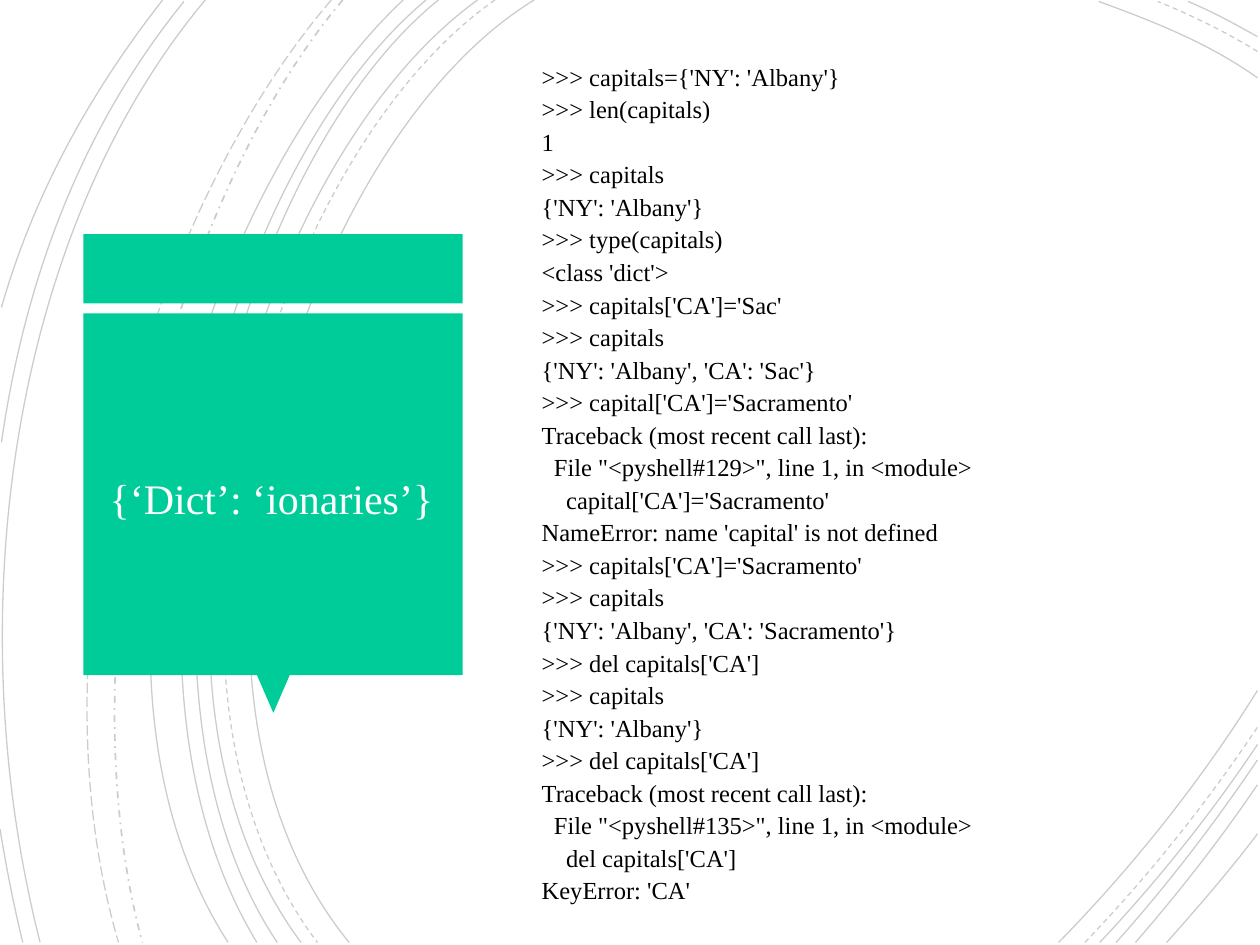
from dataclasses import dataclass

from lxml import etree
from pptx import Presentation
from pptx.dml.color import RGBColor
from pptx.enum.dml import MSO_LINE
from pptx.enum.shapes import MSO_SHAPE
from pptx.enum.text import MSO_ANCHOR, PP_ALIGN
from pptx.oxml.ns import qn
from pptx.util import Cm, Pt

RECTANGLE, TRIANGLE = MSO_SHAPE.RECTANGLE, MSO_SHAPE.ISOSCELES_TRIANGLE
SOLID, DASH = MSO_LINE.SOLID, MSO_LINE.DASH
LONG_DASH, DASH_DOT = MSO_LINE.LONG_DASH, MSO_LINE.DASH_DOT
LEFT, CENTER = PP_ALIGN.LEFT, PP_ALIGN.CENTER
MIDDLE = MSO_ANCHOR.MIDDLE
BLANK_LAYOUT = 6


@dataclass(frozen=True)
class Theme:
    font: str = "Times New Roman"
    ink: RGBColor = RGBColor(0x00, 0x00, 0x00)
    accent: RGBColor = RGBColor(0x00, 0xCC, 0x99)
    on_accent: RGBColor = RGBColor(0xFF, 0xFF, 0xFF)
    title_size: float = 24
    code_size: float = 14
    code_spacing: float = 0.9
    code_gap: float = 3.45
    space_width: float = 3.5
    arc_width: float = 0.75
    arc_opacity: int = 20


# Arcs in cm: start, two control points, end; then dash style
BOTTOM, RIGHT = 19, 25.35
LEFT_ARCS = [
    ((10.77, 0), (5.99, 2.92), (2.72, 13.72), (7.04, BOTTOM), SOLID),
    ((9.98, 0), (5.41, 3.18), (2.34, 13.64), (6.4, BOTTOM), DASH),
    ((9.63, 0), (5.13, 3.23), (2.08, 13.64), (6.07, BOTTOM), SOLID),
    ((8.84, 0), (4.65, 3.38), (2.08, 13.74), (5.59, BOTTOM), SOLID),
    ((8.59, 0), (4.39, 3.51), (1.85, 13.54), (5.18, BOTTOM), SOLID),
    ((8.13, 0), (4.14, 3.73), (1.02, 13.44), (4.6, BOTTOM), SOLID),
    ((6.91, 0), (3.35, 4.22), (1.24, 12.93), (2.87, BOTTOM), DASH_DOT),
    ((6.68, 0), (3, 4.29), (0.53, 12.67), (2.39, BOTTOM), LONG_DASH),
    ((4.14, 0), (0.2, 4.7), (-0.86, 12.45), (0.81, BOTTOM), SOLID),
    ((3.71, 0.03), (1.75, 2.44), (0.53, 5.44), (0.03, 8.92), SOLID),
    ((0, 16.71), (0.13, 17.5), (0.28, 18.26), (0.46, BOTTOM), SOLID),
    ((3.28, 0), (1.91, 1.75), (0.71, 3.81), (0.03, 6.2), SOLID),
]
TOP_RIGHT_ARCS = [
    ((RIGHT, 1.57), (24.36, 0.86), (23.19, 0.41), (22.15, 0.03), SOLID),
    ((RIGHT, 1.04), (24.71, 0.64), (24, 0.3), (23.34, 0.03), DASH),
    ((RIGHT, 0.74), (24.89, 0.48), (24.43, 0.23), (23.95, 0.03), SOLID),
]
BOTTOM_RIGHT_ARCS = [
    ((21.34, BOTTOM), (22.78, 17.53), (24.18, 15.8), (RIGHT, 13.92), SOLID),
    ((21.87, BOTTOM), (23.09, 17.73), (24.28, 16.26), (RIGHT, 14.66), DASH),
    ((22.17, BOTTOM), (23.29, 17.81), (24.38, 16.46), (RIGHT, 15.01), SOLID),
    ((22.5, BOTTOM), (23.5, 17.88), (24.46, 16.64), (RIGHT, 15.32), SOLID),
    ((22.89, BOTTOM), (23.75, 18.01), (24.59, 16.94), (RIGHT, 15.82), SOLID),
    ((23.52, BOTTOM), (24.13, 18.31), (24.77, 17.58), (RIGHT, 16.81), SOLID),
]

SESSION = """\
>>> capitals={'NY': 'Albany'}
>>> len(capitals)
1
>>> capitals
{'NY': 'Albany'}
>>> type(capitals)
<class 'dict'>
>>> capitals['CA']='Sac'
>>> capitals
{'NY': 'Albany', 'CA': 'Sac'}
>>> capital['CA']='Sacramento'
Traceback (most recent call last):
  File "<pyshell#129>", line 1, in <module>
    capital['CA']='Sacramento'
NameError: name 'capital' is not defined
>>> capitals['CA']='Sacramento'
>>> capitals
{'NY': 'Albany', 'CA': 'Sacramento'}
>>> del capitals['CA']
>>> capitals
{'NY': 'Albany'}
>>> del capitals['CA']
Traceback (most recent call last):
  File "<pyshell#135>", line 1, in <module>
    del capitals['CA']
KeyError: 'CA'"""


class SlideBuilder:
    def __init__(self, slide, theme):
        self.slide = slide
        self.theme = theme

    def arc(self, start, first_control, second_control, end, dash):
        points = [(Cm(x), Cm(y)) for x, y in (first_control, second_control, end)]
        builder = self.slide.shapes.build_freeform(Cm(start[0]), Cm(start[1]))
        builder.add_line_segments(points, close=False)
        shape = builder.convert_to_shape()
        # Merge the three segments into one cubic curve
        segments = shape.element.xpath(".//a:lnTo")
        curve = etree.Element(qn("a:cubicBezTo"))
        segments[0].addprevious(curve)
        for segment in segments:
            curve.append(segment[0])
            segment.getparent().remove(segment)
        shape.shadow.inherit = False
        shape.fill.background()
        shape.line.color.rgb = self.theme.ink
        shape.line.width = Pt(1 if dash == DASH_DOT else self.theme.arc_width)
        shape.line.dash_style = dash
        color = shape.element.xpath(".//a:ln//a:srgbClr")[0]
        opacity = str(self.theme.arc_opacity * 1000)
        etree.SubElement(color, qn("a:alpha"), val=opacity)

    def block(self, kind, left, top, width, height, rotation=0):
        shape = self.slide.shapes.add_shape(
            kind, Cm(left), Cm(top), Cm(width), Cm(height))
        shape.rotation = rotation
        shape.shadow.inherit = False
        shape.fill.solid()
        shape.fill.fore_color.rgb = self.theme.accent
        shape.line.fill.background()

    def text(self, lines, left, top, width, height, size, color, alignment):
        box = self.slide.shapes.add_textbox(
            Cm(left), Cm(top), Cm(width), Cm(height))
        frame = box.text_frame
        frame.word_wrap = True
        frame.vertical_anchor = MIDDLE
        for index, line in enumerate(lines):
            paragraph = frame.add_paragraph() if index else frame.paragraphs[0]
            paragraph.text = line.lstrip()
            paragraph.alignment = alignment
            paragraph.font.name = self.theme.font
            paragraph.font.size = Pt(size)
            paragraph.font.color.rgb = color
            indent = len(line) - len(line.lstrip())
            if indent:
                margin = Pt(indent * self.theme.space_width)
                paragraph._p.get_or_add_pPr().set("marL", str(margin))
        return frame

    def title(self, line, *place):
        self.text([line], *place, self.theme.title_size,
                  self.theme.on_accent, CENTER)

    def code(self, lines, *place):
        frame = self.text(lines, *place, self.theme.code_size,
                          self.theme.ink, LEFT)
        for paragraph in frame.paragraphs:
            paragraph.line_spacing = self.theme.code_spacing
            paragraph.space_before = Pt(self.theme.code_gap)


def main():
    presentation = Presentation()
    presentation.slide_width, presentation.slide_height = Cm(25.4), Cm(19.05)
    layout = presentation.slide_layouts[BLANK_LAYOUT]
    builder = SlideBuilder(presentation.slides.add_slide(layout), Theme())

    # Background arcs
    for arc in LEFT_ARCS + TOP_RIGHT_ARCS + BOTTOM_RIGHT_ARCS:
        builder.arc(*arc)

    # Title panel with its pointer
    builder.block(RECTANGLE, 1.68, 4.72, 7.65, 1.4)
    builder.block(TRIANGLE, 5.18, 13.61, 0.66, 0.76, rotation=180)
    builder.block(RECTANGLE, 1.68, 6.32, 7.65, 7.29)
    builder.title("{‘Dict’: ‘ionaries’}", 1.88, 6.71, 7.19, 6.65)

    # Interpreter session
    builder.code(SESSION.splitlines(), 10.67, 1.04, 13.23, 17.48)

    presentation.save("out.pptx")


if __name__ == "__main__":
    main()
